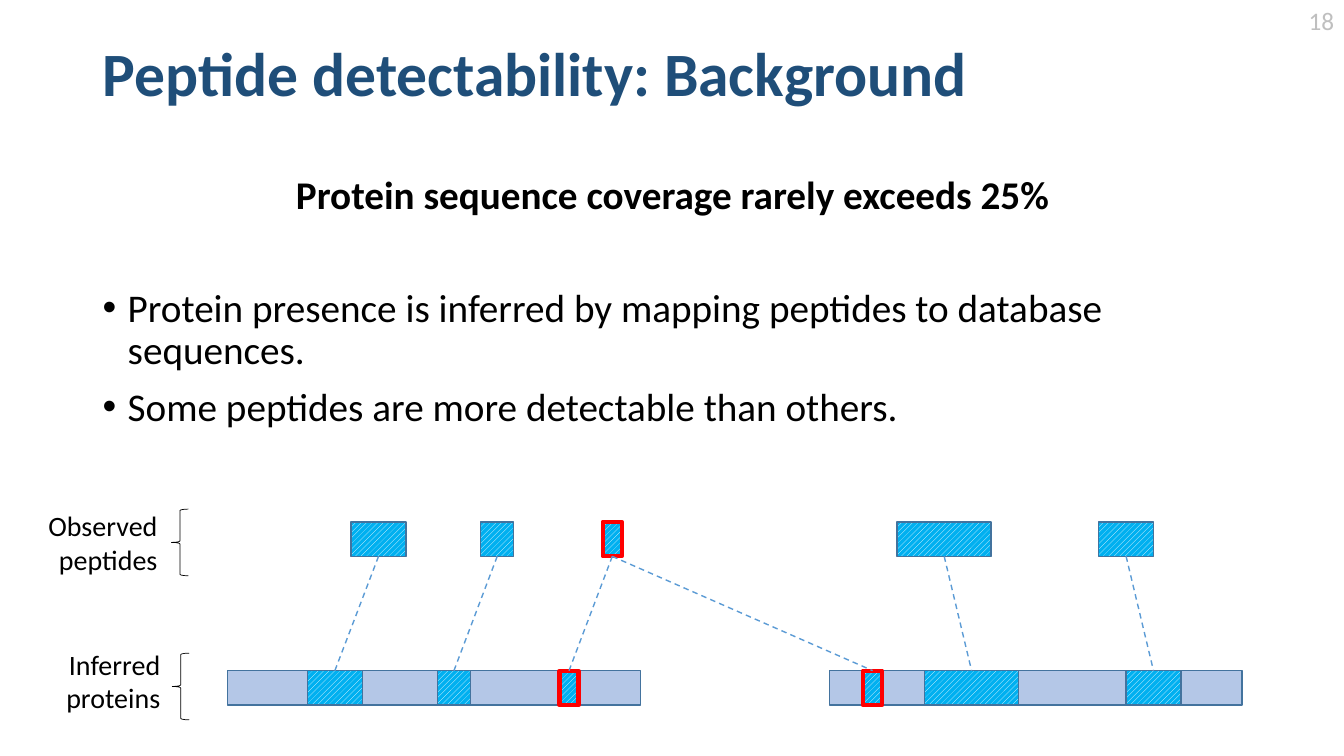
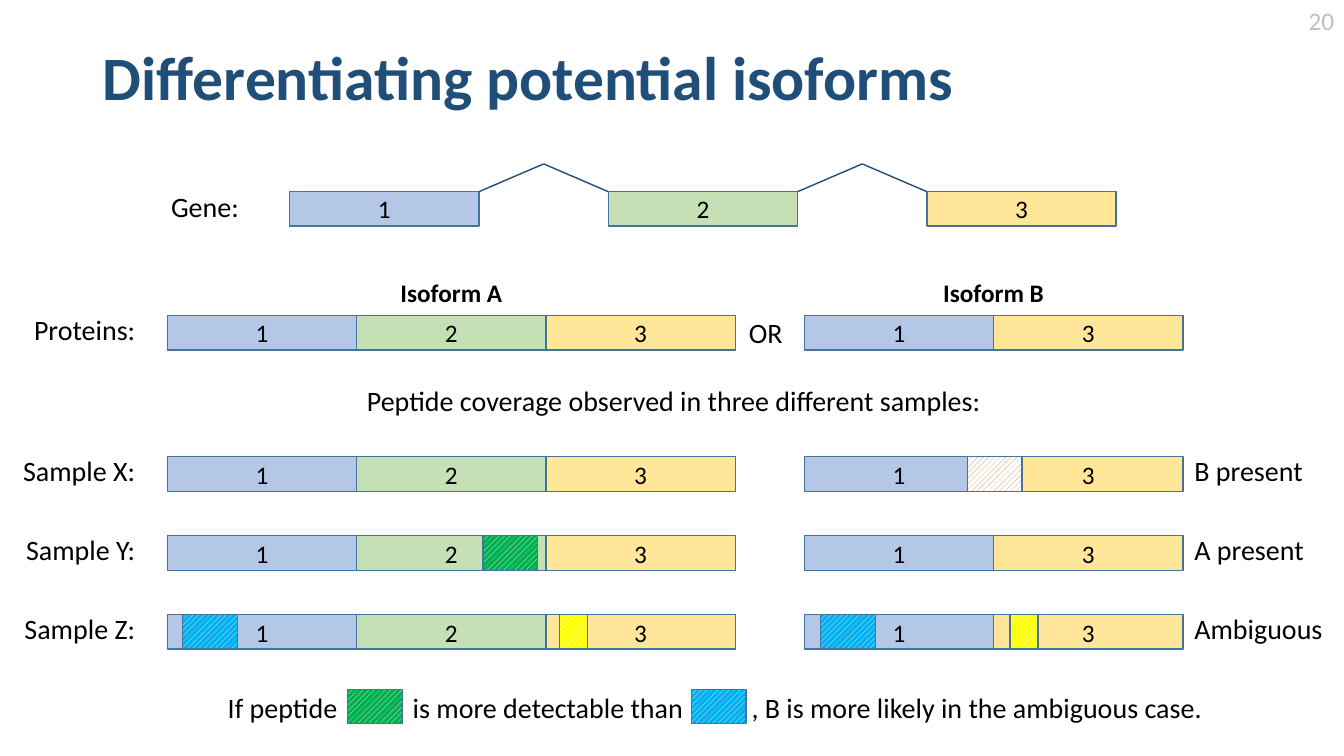
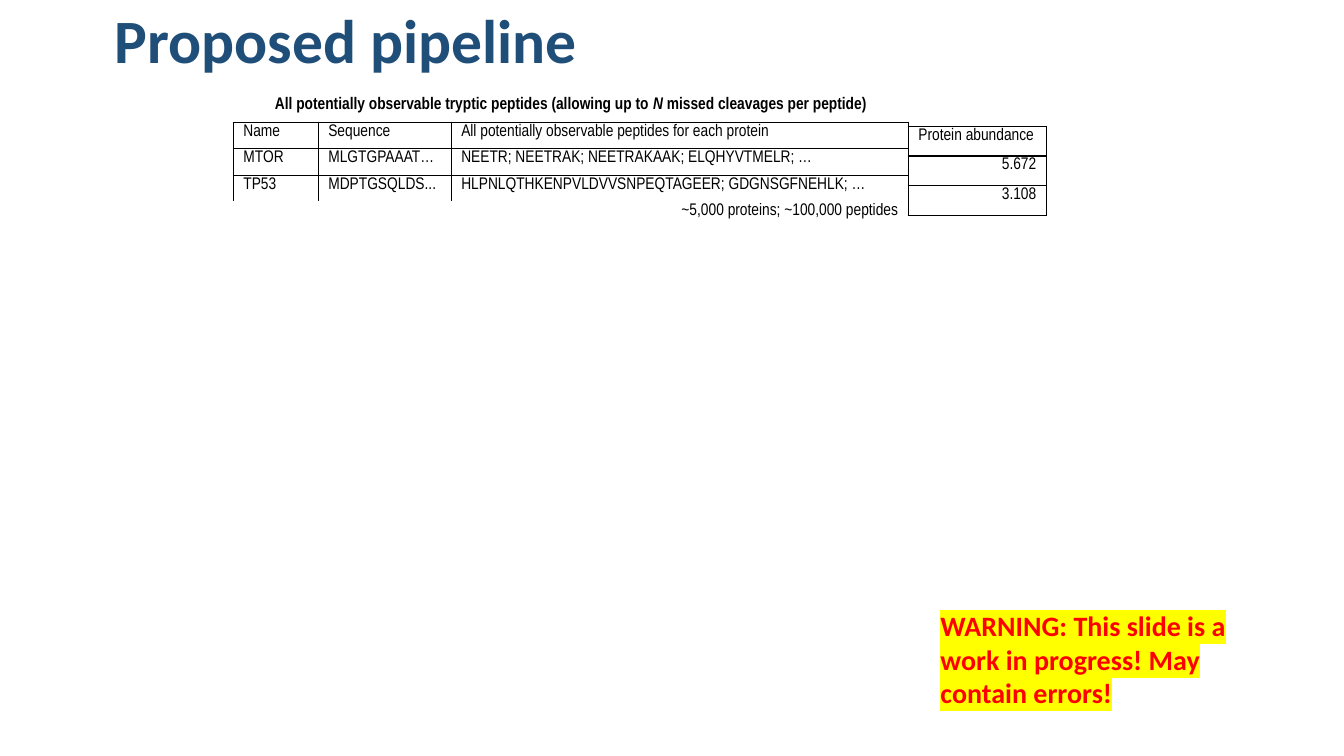
"""Build three slides on peptide detectability, isoforms and the proposed pipeline."""
from lxml import etree
from pptx import Presentation
from pptx import util as u
from pptx.dml.color import RGBColor
from pptx.enum import dml, shapes, text
from pptx.oxml.ns import qn

COLORS = {
    "title": "1F4E79", "ink": "000000", "number": "BFBFBF", "white": "FFFFFF",
    "outline": "43739E", "link": "5B9BD5", "alert": "FF0000", "highlight": "FFFF00",
    "peptide": "00B0F0", "green": "00B050", "yellow": "FFFF00", "orange": "ED7D31",
    "exon 1": "B4C7E7", "exon 2": "C5E0B4", "exon 3": "FFE699",
}
ALIGN = {"left": text.PP_ALIGN.LEFT, "center": text.PP_ALIGN.CENTER, "right": text.PP_ALIGN.RIGHT}
BODY_FONT, TABLE_FONT = "Calibri", "Arial Narrow"
BAR_HEIGHT, EXON_WIDTH, PEPTIDE_WIDTH = 0.87, 4.77, 1.38


def rgb(name):
    return RGBColor.from_string(COLORS[name])


def cm(*lengths):
    return [u.Cm(length) for length in lengths]


def write(paragraph, words, size=20, color="ink", bold=False, italic=False,
          font=BODY_FONT, align="left", spacing=None, before=None, highlight=None):
    """Add a formatted run to a paragraph."""
    paragraph.alignment = ALIGN[align]
    if spacing:
        paragraph.line_spacing = spacing
    if before is not None:
        paragraph.space_before = u.Pt(before)
    run = paragraph.add_run()
    run.text = words
    run.font.size, run.font.bold, run.font.italic = u.Pt(size), bold, italic
    run.font.name = font
    run.font.color.rgb = rgb(color)
    if highlight:
        marker = etree.Element(qn("a:highlight"))
        etree.SubElement(marker, qn("a:srgbClr"), val=COLORS[highlight])
        run.font._element.find(qn("a:solidFill")).addnext(marker)


def add_bullet(paragraph):
    """Give a paragraph a round bullet and a hanging indent."""
    properties = paragraph._p.get_or_add_pPr()
    properties.set("marL", str(u.Cm(0.63)))
    properties.set("indent", str(-u.Cm(0.63)))
    etree.SubElement(properties, qn("a:buFont"), typeface="Arial")
    etree.SubElement(properties, qn("a:buChar"), char="•")


def add_text(slide, words, left, top, width, height=1.12, **style):
    """Add a text box with one paragraph for each line."""
    frame = slide.shapes.add_textbox(*cm(left, top, width, height)).text_frame
    frame.word_wrap = True
    for index, line in enumerate(words.split("\n")):
        paragraph = frame.add_paragraph() if index else frame.paragraphs[0]
        write(paragraph, line, **style)


def add_slide(presentation, title, left=2.34, top=0.1, height=3.68, number=None):
    """Add a slide with the shared title style and an optional page number."""
    slide = presentation.slides.add_slide(presentation.slide_layouts[5])
    shape = slide.shapes.title
    shape.left, shape.top, shape.width, shape.height = cm(left, top, 29.21, height)
    frame = shape.text_frame
    frame.auto_size = text.MSO_AUTO_SIZE.NONE
    frame.vertical_anchor = text.MSO_ANCHOR.MIDDLE
    write(frame.paragraphs[0], title, size=44, color="title", bold=True, spacing=0.9)
    if number:
        add_text(slide, number, 31.76, 0, 2.11, 1.02, size=18, color="number", align="right")
    return slide


def add_bar(slide, left, top, width, fill, label=None, pattern=None, outline="outline", weight=1):
    """Add a plain or hatched bar, where pattern names the hatch colour."""
    shape = slide.shapes.add_shape(shapes.MSO_SHAPE.RECTANGLE, *cm(left, top, width, BAR_HEIGHT))
    shape.shadow.inherit = False
    if pattern:
        shape.fill.patterned()
        shape.fill.pattern = dml.MSO_PATTERN.WIDE_UPWARD_DIAGONAL
        shape.fill.fore_color.rgb, shape.fill.back_color.rgb = rgb(pattern), rgb(fill)
    else:
        shape.fill.solid()
        shape.fill.fore_color.rgb = rgb(fill)
    shape.line.color.rgb, shape.line.width = rgb(outline), u.Pt(weight)
    if label:
        shape.text_frame.vertical_anchor = text.MSO_ANCHOR.MIDDLE
        write(shape.text_frame.paragraphs[0], label, size=18, align="center")
    return shape


def add_peptide(slide, left, top, width=PEPTIDE_WIDTH, fill="peptide", pattern="white", **style):
    return add_bar(slide, left, top, width, fill, pattern=pattern, **style)


def add_exons(slide, numbers, left, top, step=EXON_WIDTH):
    for index, number in enumerate(numbers):
        add_bar(slide, left + index * step, top, EXON_WIDTH, f"exon {number}", label=number)


def add_line(slide, start=(0, 0), end=(0, 0), color="link", dashed=False):
    """Add a straight line without a shadow."""
    line = slide.shapes.add_connector(shapes.MSO_CONNECTOR.STRAIGHT, *cm(*start, *end))
    line.line.color.rgb, line.line.width = rgb(color), u.Pt(1)
    if dashed:
        line.line.dash_style = dml.MSO_LINE.DASH
    etree.SubElement(line._element.spPr, qn("a:effectLst"))
    return line


def add_brace(slide, left, top):
    brace = slide.shapes.add_shape(shapes.MSO_SHAPE.LEFT_BRACE, *cm(left, top, 0.43, 1.68))
    brace.shadow.inherit = False
    brace.fill.background()
    brace.line.color.rgb, brace.line.width = rgb("ink"), u.Pt(0.5)


def add_borders(cell):
    for side in ("L", "R", "T", "B"):
        border = etree.SubElement(cell._tc.get_or_add_tcPr(), qn(f"a:ln{side}"), w=str(u.Pt(1)))
        fill = etree.SubElement(border, qn("a:solidFill"))
        etree.SubElement(fill, qn("a:srgbClr"), val=COLORS["ink"])


def write_cell(cell, words, **style):
    write(cell.text_frame.paragraphs[0], words, size=12, font=TABLE_FONT, **style)


def add_table(slide, left, top, columns, row_height, rows):
    """Add a white table; rows of None become one merged cell without borders."""
    table = slide.shapes.add_table(
        len(rows), len(columns), *cm(left, top, sum(columns), row_height * len(rows))).table
    table.first_row = table.horz_banding = False
    for column, width in zip(table.columns, columns):
        column.width = u.Cm(width)
    for index, row in enumerate(rows):
        table.rows[index].height = u.Cm(row_height)
        for position in range(len(columns)):
            cell = table.cell(index, position)
            cell.margin_top, cell.margin_bottom = cm(0.04, 0)
            if row:
                add_borders(cell)
                write_cell(cell, row[position], align="right" if row[position][0].isdigit() else "left")
            cell.fill.solid()
            cell.fill.fore_color.rgb = rgb("white")
        if not row:
            table.cell(index, 0).merge(table.cell(index, len(columns) - 1))
    return table


def build_background(presentation):
    """Show how observed peptides map to inferred proteins."""
    slide = add_slide(presentation, "Peptide detectability: Background", number="18")
    frame = slide.shapes.add_textbox(*cm(2.34, 4.29, 29.21, 7)).text_frame
    frame.word_wrap = True
    write(frame.paragraphs[0], "Protein sequence coverage rarely exceeds 25%",
          size=28, bold=True, align="center", spacing=0.9)
    for words, before in (
            ("Protein presence is inferred by mapping peptides to database sequences.", 50.8),
            ("Some peptides are more detectable than others.", 10)):
        paragraph = frame.add_paragraph()
        write(paragraph, words, size=28, spacing=0.9, before=before)
        add_bullet(paragraph)

    observed_top, protein_top = 13.15, 16.9
    for label, right, top, brace_left, brace_top in (
            ("Observed\npeptides", 4.22, 12.7, 4.32, 12.83),
            ("Inferred\nproteins", 4.29, 16.18, 4.34, 16.46)):
        add_text(slide, label, right - 3.5, top, 3.5, 1.96, align="right")
        add_brace(slide, brace_left, brace_top)
    for left in (5.74, 20.9):
        add_bar(slide, left, protein_top, 10.4, "exon 1")

    shared = {"outline": "alert", "weight": 3}
    for left, width, matches, style in (
            (8.85, PEPTIDE_WIDTH, [7.75], {}),
            (12.11, 0.84, [11.02], {}),
            (15.19, 0.48, [14.1, 21.75], shared),
            (22.61, 2.37, [23.3], {}),
            (27.69, PEPTIDE_WIDTH, [28.38], {})):
        observed = add_peptide(slide, left, observed_top, width, **style)
        for match in matches:
            mapped = add_peptide(slide, match, protein_top, width, **style)
            link = add_line(slide, dashed=True)
            link.begin_connect(observed, 2)
            link.end_connect(mapped, 0)


def build_isoforms(presentation):
    """Compare the peptide coverage of two isoforms in three samples."""
    slide = add_slide(presentation, "Differentiating potential isoforms", top=0.2, number="20")
    gene_left, gene_top, gene_step = 7.3, 4.83, 8.03
    add_exons(slide, "123", gene_left, gene_top, gene_step)
    for index in range(2):
        start = gene_left + index * gene_step + EXON_WIDTH
        end = gene_left + (index + 1) * gene_step
        for edge in (start, end):
            add_line(slide, (edge, gene_top), ((start + end) / 2, 4.13), color="title")
    add_text(slide, "Gene:", 2.77, gene_top - 0.18, 3.5, align="right")

    isoforms = (("Isoform A", "123", 4.22), ("Isoform B", "13", 20.27))
    protein_top = 7.95
    for name, exons, left in isoforms:
        add_text(slide, name, left, 6.86, len(exons) * EXON_WIDTH, 1.02,
                 size=18, bold=True, align="center")
    add_text(slide, "OR", 18.3, 7.82, 2, align="center")
    add_text(slide, "Peptide coverage observed in three different samples:",
             8.6, 9.55, 16.76, align="center")

    for label, top, result in (
            ("Proteins:", protein_top, None), ("Sample X:", 11.51, "B present"),
            ("Sample Y:", 13.5, "A present"), ("Sample Z:", 15.49, "Ambiguous")):
        add_text(slide, label, 0.1, top - 0.2, 3.56, align="right")
        for _, exons, left in isoforms:
            add_exons(slide, exons, left, top)
        if result:
            add_text(slide, result, 29.85, top - 0.2, 3.9)

    add_peptide(slide, 24.38, 11.51, fill="white", pattern="orange")
    add_peptide(slide, 12.17, 13.5, fill="green")
    for left in (4.6, 20.68):
        add_peptide(slide, left, 15.49)
    for left in (14.1, 25.45):
        add_peptide(slide, left, 15.49, 0.71, fill="yellow")

    for words, left, width in (
            ("If peptide", 5.49, 3.3), ("is more detectable than", 10.15, 7.5),
            (", B is more likely in the ambiguous case.", 18.69, 12.6)):
        add_text(slide, words, left, 17.27, width)
    for left, fill in ((8.76, "green"), (17.42, "peptide")):
        add_peptide(slide, left, 17.37, fill=fill)


def build_pipeline(presentation):
    """Show the peptide and abundance tables of the pipeline."""
    slide = add_slide(presentation, "Proposed pipeline", left=2.64, top=0, height=2.21)
    peptides = add_table(slide, 5.88, 2.41, (2.14, 3.35, 11.52), 0.67, (
        None,
        ("Name", "Sequence", "All potentially observable peptides for each protein"),
        ("MTOR", "MLGTGPAAAT…", "NEETR; NEETRAK; NEETRAKAAK; ELQHYVTMELR; …"),
        ("TP53", "MDPTGSQLDS...", "HLPNLQTHKENPVLDVVSNPEQTAGEER; GDGNSGFNEHLK; …"),
        None))
    for words, italic in (
            ("All potentially observable tryptic peptides (allowing up to ", False),
            ("N", True), (" missed cleavages per peptide)", False)):
        write_cell(peptides.cell(0, 0), words, bold=True, italic=italic, align="center")
    write_cell(peptides.cell(4, 0), "~5,000 proteins; ~100,000 peptides", align="right")
    add_table(slide, 22.89, 3.18, (3.48,), 0.75, (("Protein abundance",), ("5.672",), ("3.108",)))
    add_text(slide, "WARNING: This slide is a work in progress! May contain errors!",
             23.45, 15.21, 8.3, 2.82, color="alert", bold=True, highlight="highlight")


def main():
    presentation = Presentation()
    presentation.slide_width, presentation.slide_height = cm(33.87, 19.05)
    build_background(presentation)
    build_isoforms(presentation)
    build_pipeline(presentation)
    presentation.save("out.pptx")


if __name__ == "__main__":
    main()
